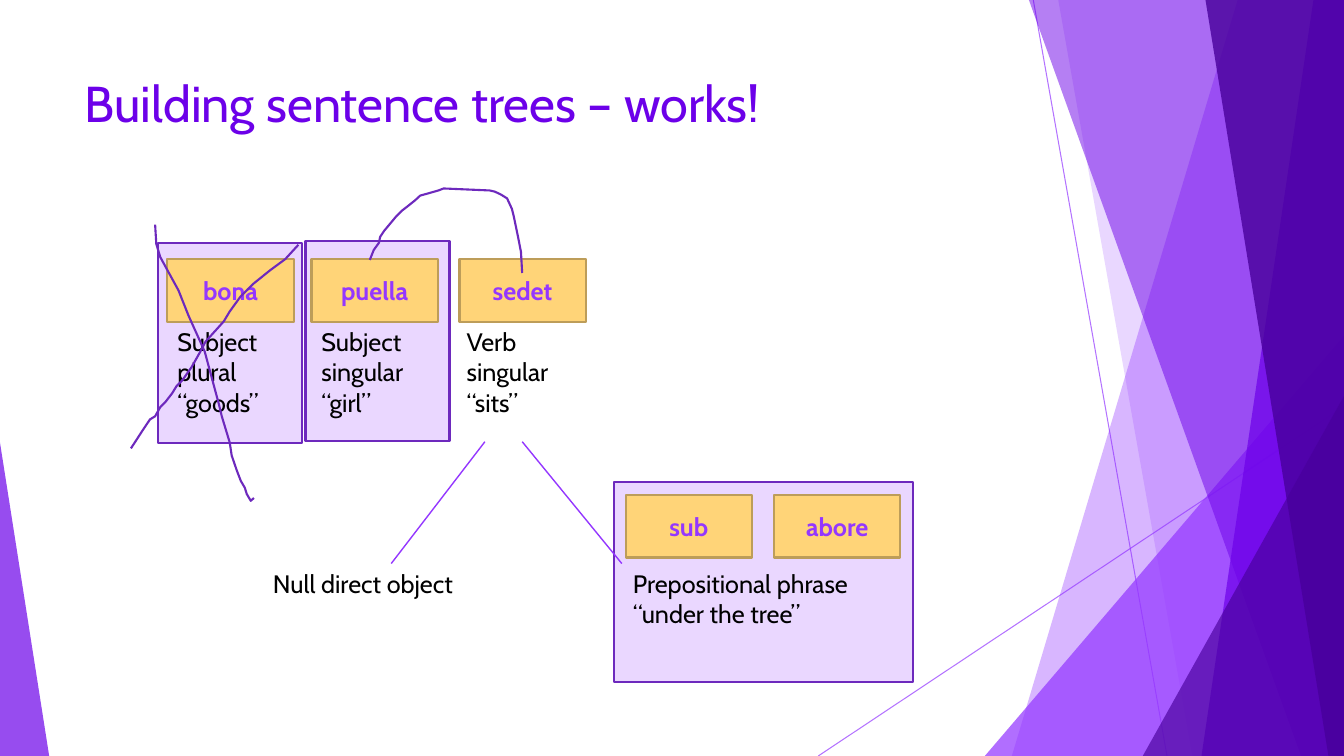
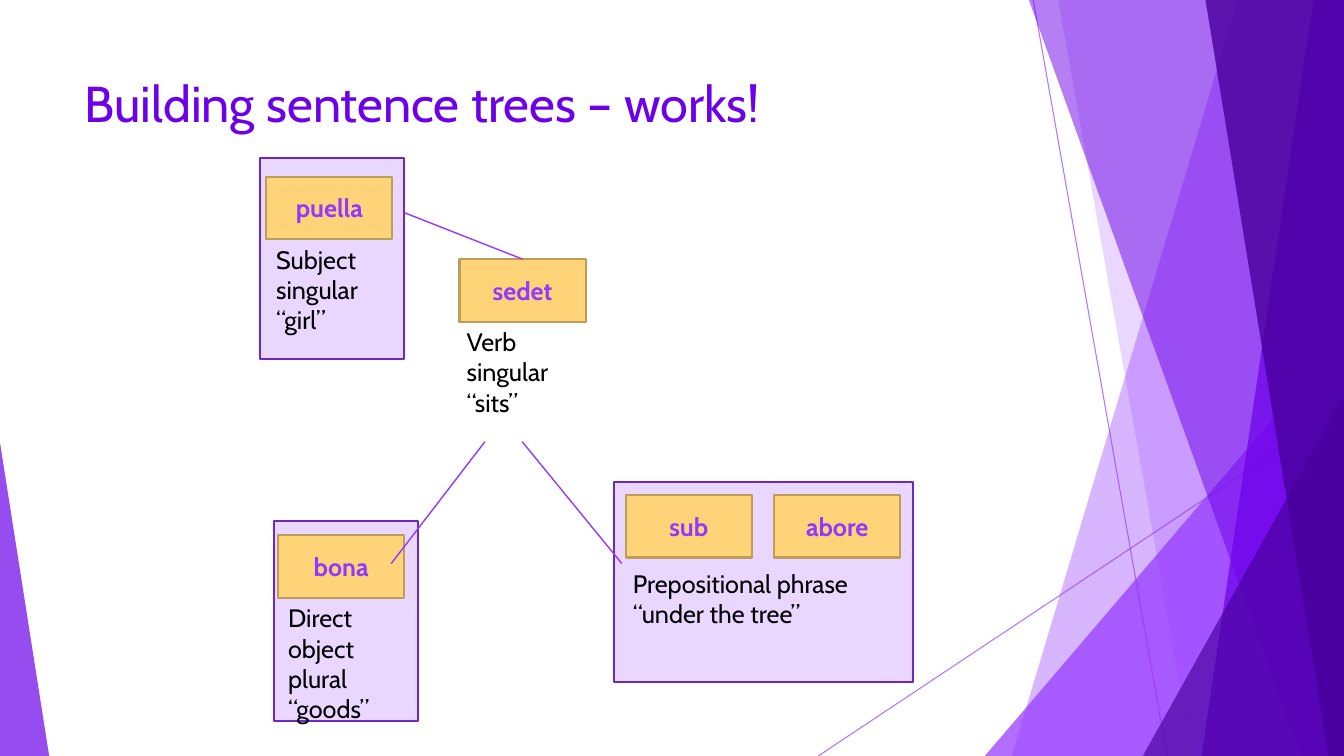
from pptx import Presentation
from pptx.dml.color import RGBColor
from pptx.enum.shapes import MSO_CONNECTOR, MSO_SHAPE
from pptx.enum.text import MSO_ANCHOR, MSO_AUTO_SIZE, PP_ALIGN
from pptx.oxml.ns import qn
from pptx.util import Cm, Pt
from lxml.etree import SubElement

FONT = "Cabin"
VIOLET = RGBColor(0x94, 0x37, 0xFF)
PURPLE = RGBColor(0x6C, 0x00, 0xE9)
INDIGO = RGBColor(0x48, 0x00, 0x9B)
LILAC = RGBColor(0xEA, 0xD7, 0xFF)
INK = RGBColor(0x6D, 0x29, 0xBD)
AMBER = RGBColor(0xFF, 0xD4, 0x78)
BRONZE = RGBColor(0xBD, 0x9D, 0x59)
BLACK = RGBColor(0, 0, 0)

# All positions and sizes are in centimetres.
SLIDE_W, SLIDE_H = 33.87, 19.05
TITLE_BOX = (1.88, 1.7, 23.88, 3.66)
CARD_W, CARD_H = 3.63, 5.05
TILE_W, TILE_H = 3.18, 1.58

RAYS = [((26.04, 0), (29.41, SLIDE_H)), ((SLIDE_W, 10.24), (20.62, SLIDE_H))]
# Bands run from the top to the bottom edge: left x at top, left x at bottom.
# Wedges stand on the bottom edge: left, top, width, apex position.
BACKDROP = [
    ("band", (31.19, 25.5), VIOLET, 36),
    ("band", (26.67, 30.05), VIOLET, 20),
    ("wedge", (24.82, 8.46, 9.05, 1), VIOLET, 72),
    ("band", (25.93, 32.79), PURPLE, 50),
    ("band", (33.1, 30.28), PURPLE, 70),
    ("band", (30.38, 33.48), INDIGO, 80),
    ("wedge", (28.8, 9.98, 5.07, 1), INDIGO, 66),
    ("wedge", (0, 11.15, 1.24, 0), PURPLE, 70),
]

# Parts of the tree that stay the same on both slides
PHRASE_CARD = (15.47, 12.14, 7.54)
SHARED_TILES = {"sedet": (11.58, 6.53), "sub": (15.77, 12.47), "abore": (19.51, 12.47)}
SHARED_CAPTIONS = [
    (11.51, 8.1, 2.82, ["Verb", "singular", "“sits”"]),
    (15.7, 14.2, 6.32, ["Prepositional phrase", "“under the tree”"]),
]
SHARED_BRANCHES = [((12.22, 11.13), (9.86, 14.2)), ((13.16, 11.13), (15.67, 14.2))]
GIRL = ["Subject", "singular", "“girl”"]

AGREEMENT_ARC = [
    (9.32, 6.55), (9.42, 6.3), (9.55, 6.12), (9.58, 5.97), (9.68, 5.82), (9.83, 5.64),
    (9.98, 5.46), (10.13, 5.31), (10.26, 5.21), (10.46, 5.05), (10.59, 4.93),
    (10.77, 4.88), (11.05, 4.8), (11.18, 4.75), (12.34, 4.8), (12.47, 4.83),
    (12.62, 4.9), (12.78, 5), (12.9, 5.26), (12.95, 5.46), (13.06, 5.99),
    (13.13, 6.35), (13.16, 6.88),
]
CROSS_DOWN = [
    (3.91, 5.66), (3.94, 6.15), (4.04, 6.48), (4.5, 7.32), (4.75, 7.95), (5.16, 8.86),
    (5.51, 10.16), (5.59, 10.49), (5.79, 11.15), (5.84, 11.48), (5.97, 11.86),
    (6.07, 12.12), (6.17, 12.29), (6.22, 12.45), (6.32, 12.62), (6.4, 12.55),
]
CROSS_UP = [
    (7.52, 6.17), (7.19, 6.53), (6.81, 6.81), (6.4, 7.14), (6.05, 7.49), (5.79, 7.85),
    (5.64, 8.1), (5.18, 8.61), (5.05, 8.86), (4.83, 9.25), (4.6, 9.58), (4.45, 9.73),
    (4.34, 9.91), (4.17, 10.13), (4.04, 10.26), (3.91, 10.49), (3.78, 10.57),
    (3.58, 10.87), (3.45, 11.07), (3.3, 11.3),
]

TREES = [
    {
        "title": "Building sentence trees – works!",
        "cards": [(7.7, 6.07, CARD_W), (3.99, 6.12, CARD_W)],
        "tiles": {"puella": (7.85, 6.53), "bona": (4.22, 6.53)},
        "captions": [
            (4.22, 8.1, 2.82, ["Subject", "plural", "“goods”"]),
            (7.85, 8.1, 2.74, GIRL),
            (6.63, 14.2, 5.59, ["Null direct object"]),
        ],
        "strokes": [AGREEMENT_ARC, CROSS_DOWN, CROSS_UP],
        "subject_link": None,
    },
    {
        "title": "Building sentence trees – works!",
        "cards": [(6.55, 3.99, CARD_W), (6.91, 13.13, CARD_W)],
        "tiles": {"puella": (6.71, 4.45), "bona": (7.01, 13.49)},
        "captions": [
            (7.01, 15.06, 2.82, ["Direct", "object", "plural", "“goods”"]),
            (6.71, 6.02, 2.74, GIRL),
        ],
        "strokes": [],
        "subject_link": (10.19, 5.36),
    },
]


def cm(*lengths):
    return [Cm(length) for length in lengths]


def format_text(frame, size, color, bold=False, align=PP_ALIGN.LEFT):
    for paragraph in frame.paragraphs:
        paragraph.alignment = align
        for run in paragraph.runs:
            run.font.name = FONT
            run.font.size = Pt(size)
            run.font.color.rgb = color
            run.font.bold = bold


def set_opacity(shape, percent):
    for color in shape.element.iter(qn("a:srgbClr")):
        SubElement(color, qn("a:alpha"), val=str(percent * 1000))


def paint(shape, fill=None, line=None):
    shape.shadow.inherit = False
    if fill is None:
        shape.fill.background()
    else:
        shape.fill.solid()
        shape.fill.fore_color.rgb = fill
    if line is None:
        shape.line.fill.background()
    else:
        shape.line.color.rgb = line
        shape.line.width = Pt(1.5)
    return shape


def add_outline(slide, points, closed):
    start, *rest = [cm(*point) for point in points]
    builder = slide.shapes.build_freeform(*start)
    builder.add_line_segments(rest, close=closed)
    return builder.convert_to_shape()


def add_box(slide, box, fill, line):
    return paint(slide.shapes.add_shape(MSO_SHAPE.RECTANGLE, *cm(*box)), fill, line)


def add_line(slide, start, end, width):
    line = slide.shapes.add_connector(MSO_CONNECTOR.STRAIGHT, *cm(*start, *end))
    line.line.color.rgb = VIOLET
    line.line.width = Pt(width)
    SubElement(line.element.spPr, qn("a:effectLst"))
    return line


def add_tile(slide, word, position):
    tile = add_box(slide, (*position, TILE_W, TILE_H), AMBER, BRONZE)
    tile.text_frame.text = word
    tile.text_frame.vertical_anchor = MSO_ANCHOR.MIDDLE
    format_text(tile.text_frame, 18, VIOLET, bold=True, align=PP_ALIGN.CENTER)
    return tile


def add_caption(slide, left, top, width, lines):
    height = 0.26 + 0.77 * len(lines)
    frame = slide.shapes.add_textbox(*cm(left, top, width, height)).text_frame
    frame.text = "\n".join(lines)
    frame.word_wrap = False
    frame.auto_size = MSO_AUTO_SIZE.SHAPE_TO_FIT_TEXT
    format_text(frame, 18, BLACK)


def draw_backdrop(slide):
    drawn = []
    for start, end in RAYS:
        ray = add_line(slide, start, end, 0.75)
        set_opacity(ray, 70)
        drawn.append(ray)
    for kind, geometry, color, opacity in BACKDROP:
        if kind == "band":
            top_x, bottom_x = geometry
            corners = [(top_x, 0), (SLIDE_W, 0), (SLIDE_W, SLIDE_H), (bottom_x, SLIDE_H)]
            facet = add_outline(slide, corners, closed=True)
        else:
            left, top, width, apex = geometry
            facet = slide.shapes.add_shape(
                MSO_SHAPE.ISOSCELES_TRIANGLE, *cm(left, top, width, SLIDE_H - top))
            facet.adjustments[0] = apex
        paint(facet, color)
        set_opacity(facet, opacity)
        drawn.append(facet)
    return drawn


def prepare_layout(layout, slide):
    """Set the title's place and move the backdrop, drawn on slide, to the layout."""
    title = layout.placeholders[0]
    title.left, title.top, title.width, title.height = cm(*TITLE_BOX)
    tree = layout.shapes.element
    for shape in draw_backdrop(slide):
        tree.append(shape.element)
    for number, properties in enumerate(tree.iter(qn("p:cNvPr")), 1):
        properties.set("id", str(number))


def draw_tree(slide, tree):
    title = slide.shapes.title.text_frame
    title.text = tree["title"]
    title.vertical_anchor = MSO_ANCHOR.TOP
    format_text(title, 36, PURPLE)

    for card in [PHRASE_CARD, *tree["cards"]]:
        add_box(slide, (*card, CARD_H), LILAC, INK)
    words = {**tree["tiles"], **SHARED_TILES}
    tiles = {word: add_tile(slide, word, place) for word, place in words.items()}
    for caption in tree["captions"] + SHARED_CAPTIONS:
        add_caption(slide, *caption)
    for start, end in SHARED_BRANCHES:
        add_line(slide, start, end, 1)
    if tree["subject_link"]:
        link = add_line(slide, tree["subject_link"], SHARED_TILES["sedet"], 1)
        link.end_connect(tiles["sedet"], 0)
    for stroke in tree["strokes"]:
        paint(add_outline(slide, stroke, closed=False), line=INK)


def main():
    deck = Presentation()
    deck.slide_width, deck.slide_height = cm(SLIDE_W, SLIDE_H)
    layout = deck.slide_layouts[5]
    slides = [deck.slides.add_slide(layout) for _ in TREES]
    prepare_layout(layout, slides[0])
    for slide, tree in zip(slides, TREES):
        draw_tree(slide, tree)
    deck.save("out.pptx")


if __name__ == "__main__":
    main()
